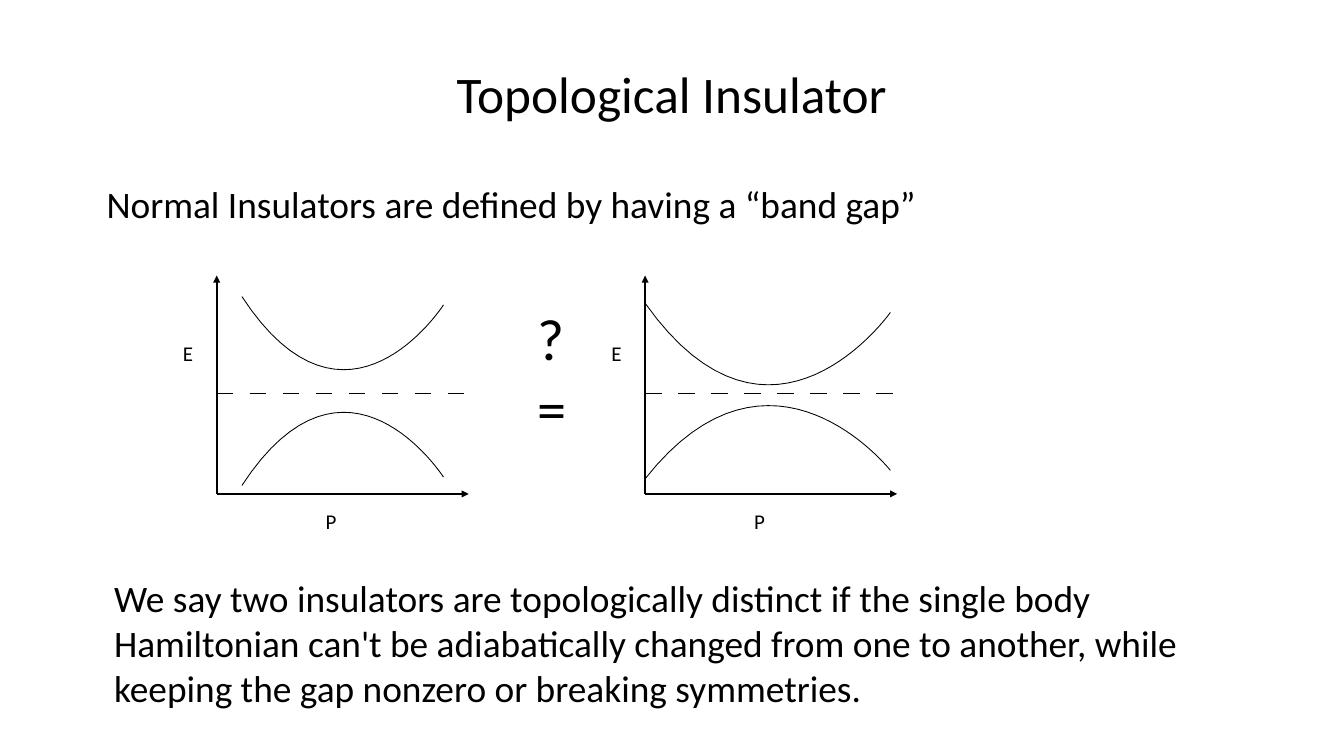
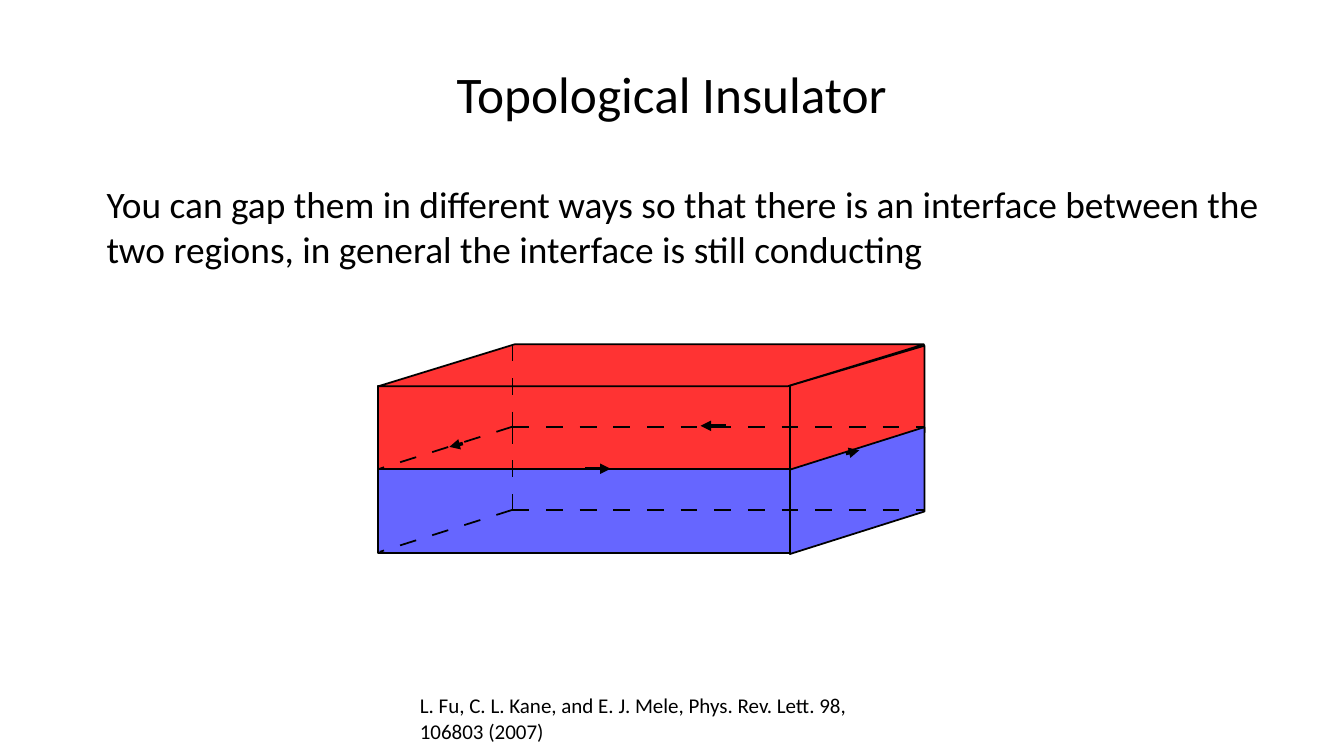
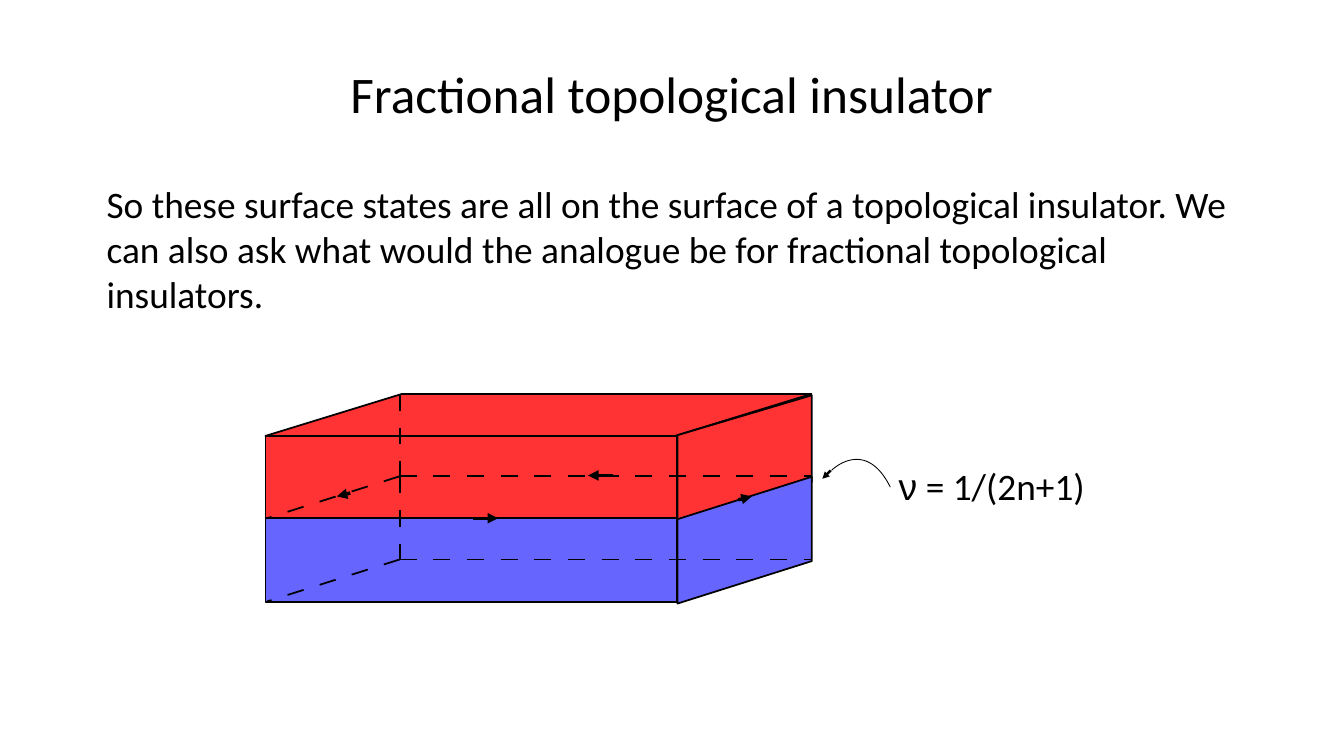
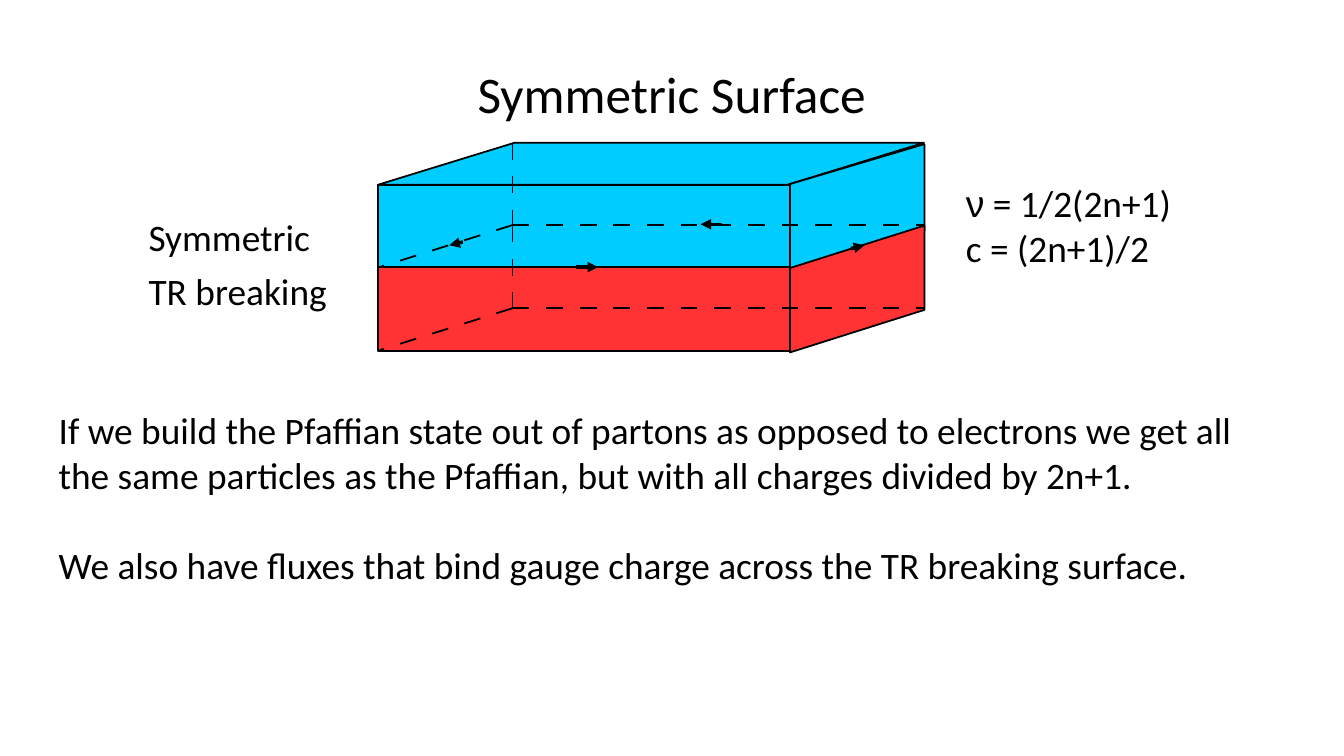
from pptx import Presentation
from pptx.dml.color import RGBColor
from pptx.enum.shapes import MSO_CONNECTOR, MSO_SHAPE as Shape
from pptx.enum.text import MSO_ANCHOR as Anchor, PP_ALIGN as Align
from pptx.oxml.ns import qn
from pptx.util import Inches, Pt
from lxml import etree

# Shared look
color = RGBColor.from_string
BLACK, RED, BLUE, CYAN = "000000", "FF3333", "6666FF", "00CCFF"
FONT, GREEK_FONT = "Calibri", "Arial"
TITLE, BODY, SMALL, SYMBOL = 44, 32, 18, 50
HAIRLINE, THIN, EDGE, ARROW = 0, 0.75, 1.5, 3
DASH = 14.4  # points, for both dash and gap


def write(page, at, lines, size=BODY, align=Align.LEFT, anchor=Anchor.TOP, gap=0):
    frame = page.shapes.add_textbox(*map(Inches, at)).text_frame
    frame.word_wrap = True
    frame.vertical_anchor = anchor
    for number, line in enumerate(lines):
        para = frame.add_paragraph() if number else frame.paragraphs[0]
        para.alignment = align
        para.space_before = Pt(gap if number else 0)
        para.font.name = FONT
        para.font.size = Pt(size)
        para.font.color.rgb = color(BLACK)
        if line.startswith("ν"):
            span = para.add_run()
            span.text = "ν"
            span.font.name = GREEK_FONT
            line = line[1:]
        para.add_run().text = line


def draw_line(page, start, end, width=HAIRLINE, dashed=False, arrow=False):
    line = page.shapes.add_connector(
        MSO_CONNECTOR.STRAIGHT, *map(Inches, (*start, *end)))
    line.line.color.rgb = color(BLACK)
    line.line.width = Pt(width)
    properties = line._element.spPr
    outline = properties.find(qn("a:ln"))
    if dashed:
        length = str(round(DASH / width * 100000))
        pattern = etree.SubElement(outline, qn("a:custDash"))
        etree.SubElement(pattern, qn("a:ds"), d=length, sp=length)
    if arrow:
        etree.SubElement(outline, qn("a:tailEnd"), type="triangle")
    etree.SubElement(properties, qn("a:effectLst"))


deck = Presentation()
deck.slide_width, deck.slide_height = Inches(16), Inches(9)

# Pages and titles
pages = []
for title in ("Topological Insulator", "Topological Insulator",
              "Fractional topological insulator", "Symmetric Surface"):
    page = deck.slides.add_slide(deck.slide_layouts[6])
    write(page, (0.8, 0.36, 14.4, 1.5), [title], TITLE, Align.CENTER, Anchor.MIDDLE)
    pages.append(page)
bands, interface, fractional, symmetric = pages

# Opening text of the first three pages
for page, text in (
    (bands, "Normal Insulators are defined by having a “band gap”"),
    (interface, "You can gap them in different ways so that there is an interface "
                "between the two regions, in general the interface is still conducting"),
    (fractional, "So these surface states are all on the surface of a topological "
                 "insulator. We can also ask what would the analogue be for "
                 "fractional topological insulators."),
):
    write(page, (1.17, 2.11, 14.03, 1.9), [text])

# Band diagrams: axes, labels and Fermi level
for left in (2.58, 7.68):
    origin = (left, 5.88)
    draw_line(bands, origin, (left, 3.28), arrow=True)
    draw_line(bands, origin, (left + 3, 5.88), arrow=True)
    draw_line(bands, (left, 4.68), (left + 3, 4.68), THIN, dashed=True)
    write(bands, (left - 0.5, 4, 0.5, 0.4), ["E"], SMALL)
    write(bands, (left + 1.2, 6, 1.4, 0.4), ["P"], SMALL)
write(bands, (6.3, 3.55, 0.94, 1.77), ["?", "="], SYMBOL)
write(bands, (1.26, 6.8, 12.94, 2.09), [
    "We say two insulators are topologically distinct if the single body Hamiltonian "
    "can't be adiabatically changed from one to another, while keeping the gap nonzero "
    "or breaking symmetries."])

# Curves: start, bend and end of a cubic whose second control point is its end
STEPS = 32
for page, start, bend, end in (
    (bands, (2.88, 5.78), (4.12, 3.88), (5.28, 5.68)),
    (bands, (2.88, 3.53), (4.12, 5.43), (5.28, 3.63)),
    (bands, (7.68, 5.7), (9.18, 3.8), (10.6, 5.6)),
    (bands, (7.68, 3.61), (9.18, 5.73), (10.6, 3.72)),
    (fractional, (10.6, 5.8), (10.3, 5.2), (9.9, 5.6)),
):
    points = []
    for step in range(STEPS + 1):
        t = step / STEPS
        weights = (1 - t) ** 3, 3 * t * (1 - t) ** 2, 3 * t ** 2 * (1 - t) + t ** 3
        points.append([Inches(sum(w * v for w, v in zip(weights, values)))
                       for values in zip(start, bend, end)])
    builder = page.shapes.build_freeform(*points[0])
    builder.add_line_segments(points[1:], close=False)
    curve = builder.convert_to_shape()
    curve.shadow.inherit = False
    curve.fill.background()
    curve.line.color.rgb = color(BLACK)
    curve.line.width = Pt(HAIRLINE)

# Two-layer slabs: corner, layer colours, arrow length, arrow starts
for page, x, y, upper, lower, length, front, back, right in (
    (interface, 4.5, 4.1, RED, BLUE, 0.3, 2.47, 4.14, (5.57, 1.3)),
    (fractional, 3.16, 4.69, RED, BLUE, 0.3, 2.47, 4.14, (5.63, 1.26)),
    (symmetric, 4.5, 1.7, CYAN, RED, 0.26, 2.36, 4.1, (5.63, 1.26)),
):
    # Faces
    for kind, dx, dy, width, height, fill, slant in (
        (Shape.RECTANGLE, 0, 0.5, 4.9, 1, upper, None),
        (Shape.PARALLELOGRAM, 0, 0, 6.5, 0.5, upper, 3.25),
        (Shape.PARALLELOGRAM, 4.95, -0.03, 1.51, 1.6, upper, 0.315),
        (Shape.RECTANGLE, 0, 1.48, 4.9, 1, lower, None),
        (Shape.PARALLELOGRAM, 4.95, 0.94, 1.51, 1.6, lower, 0.335),
    ):
        face = page.shapes.add_shape(
            kind, *map(Inches, (x + dx, y + dy, width, height)))
        face.shadow.inherit = False
        face.fill.solid()
        face.fill.fore_color.rgb = color(fill)
        face.line.color.rgb = color(BLACK)
        face.line.width = Pt(EDGE)
        if slant:
            face.adjustments[0] = slant
        if dx:  # side faces stand upright
            face.rotation = 90
            face._element.spPr.find(qn("a:xfrm")).set("flipV", "1")

    # Hidden edges, the same for each layer
    for above, corner in ((0, 0.98), (0.98, 1.97)):
        hidden = (x + 1.6, y + corner)
        for end in ((x + 0.02, y + corner + 0.5), (x + 6.5, y + corner)):
            draw_line(page, hidden, end, EDGE, dashed=True)
        draw_line(page, (x + 1.6, y + above), hidden, EDGE, dashed=True)

    # Edge current round the interface
    for (dx, dy), run, rise in (
        ((front, 1.48), length, 0),
        ((back, 0.97), -length, 0),
        ((1.01, 1.18), -0.16, 0.04),
        (right, 0.16, -0.04),
    ):
        draw_line(page, (x + dx, y + dy), (x + dx + run, y + dy + rise),
                  ARROW, arrow=True)

# Citation
write(interface, (4.9, 8.2, 5.33, 0.7),
      ["L. Fu, C. L. Kane, and E. J. Mele, Phys. Rev. Lett. 98,", "106803 (2007)"], SMALL)

# Filling of the fractional interface
draw_line(fractional, (9.89, 5.6), (9.79, 5.7), arrow=True)
write(fractional, (10.6, 5.46, 3.8, 0.64), ["ν = 1/(2n+1)"])

# Labels and text of the symmetric surface
write(symmetric, (1.67, 2.5, 3.83, 2.1), ["Symmetric", "TR breaking"], gap=8)
write(symmetric, (11.4, 2.1, 3.8, 1.4), ["ν = 1/2(2n+1)", "c = (2n+1)/2"])
write(symmetric, (0.6, 4.8, 14.2, 3.09), [
    "If we build the Pfaffian state out of partons as opposed to electrons we get all "
    "the same particles as the Pfaffian, but with all charges divided by 2n+1.",
    "We also have fluxes that bind gauge charge across the TR breaking surface."], gap=39)

deck.save("out.pptx")
